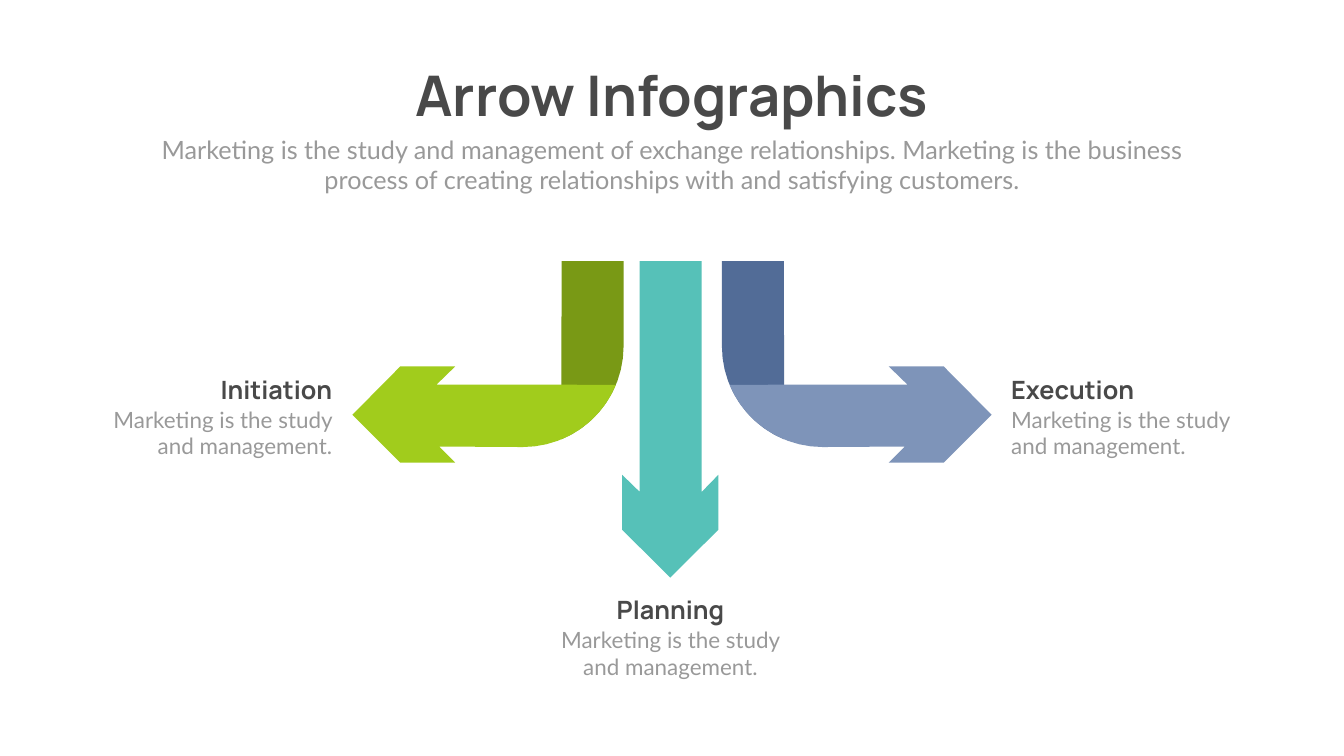
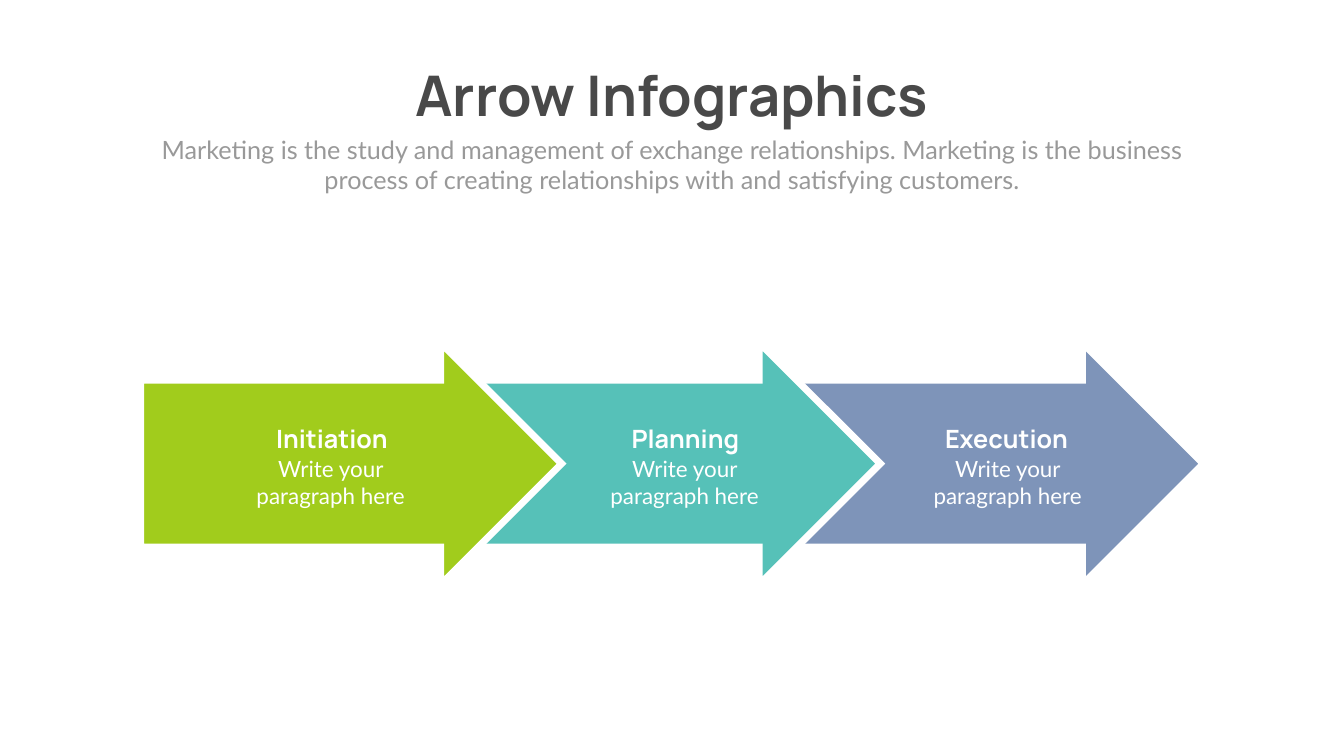
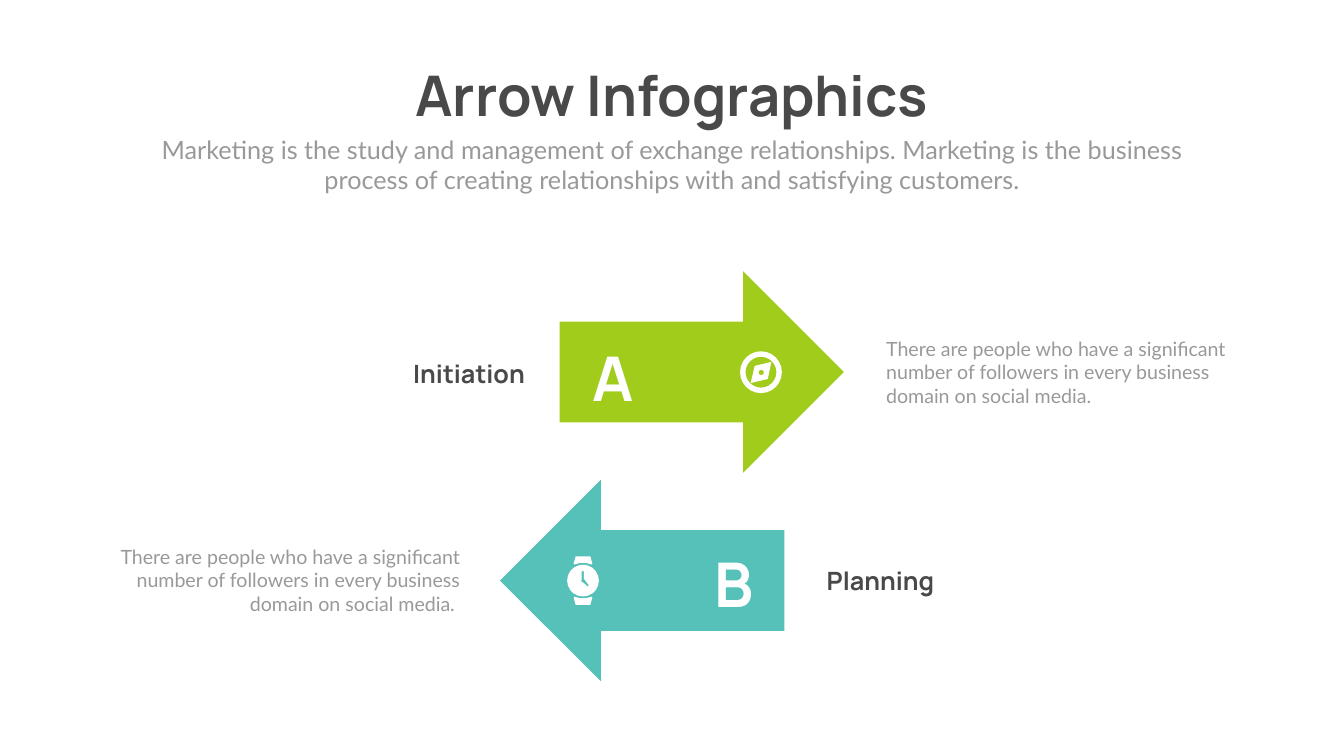
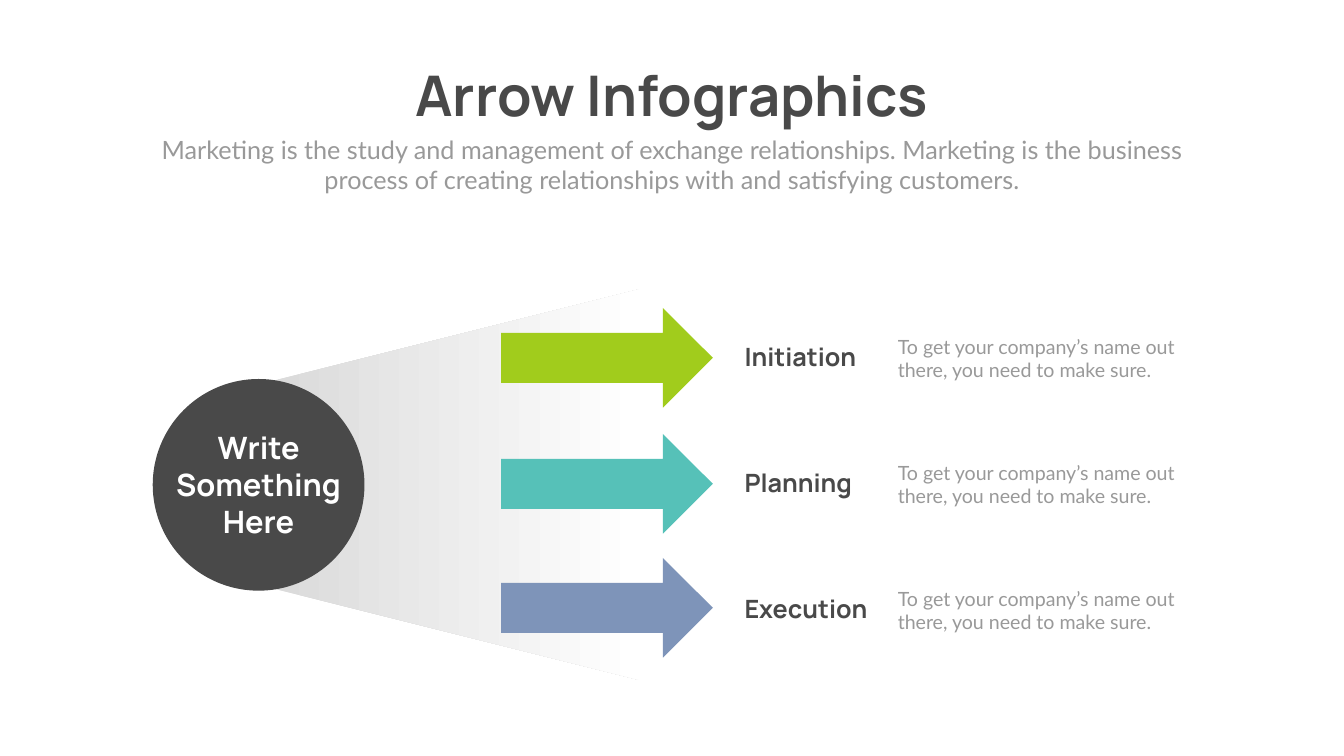
import dataclasses
import math

import lxml.etree
import pptx
import pptx.dml.color
import pptx.enum.shapes
import pptx.enum.text
import pptx.oxml.ns
import pptx.util

PX = 9144
SHAPES = pptx.enum.shapes.MSO_SHAPE
ALIGN = pptx.enum.text.PP_ALIGN
FIT = pptx.enum.text.MSO_AUTO_SIZE.SHAPE_TO_FIT_TEXT
TOP = pptx.enum.text.MSO_ANCHOR.TOP


@dataclasses.dataclass(frozen=True)
class Theme:
    ink: str = "494949"
    grey: str = "999999"
    pale: str = "D9D9D9"
    white: str = "FFFFFF"
    lime: str = "A1CC1C"
    moss: str = "799915"
    teal: str = "56C1B8"
    blue: str = "7E94B9"
    navy: str = "526C97"
    bold: str = "Manrope"
    plain: str = "Lato"
    title: int = 80
    letter: int = 88
    hub: int = 44
    head: int = 36
    body: int = 32
    note: int = 28


THEME = Theme()
STEPS = [("Initiation", THEME.lime), ("Planning", THEME.teal), ("Execution", THEME.blue)]
TITLE = "Arrow Infographics"
INTRO = ("Marketing is the study and management of exchange relationships. "
         "Marketing is the business process of creating relationships with "
         "and satisfying customers.")
STUDY = "Marketing is the study and management."
WRITE = "Write your paragraph here"
PEOPLE = ("There are people who have a significant number of followers "
          "in every business domain on social media.")
COMPANY = "To get your company’s name out there, you need to make sure."


@dataclasses.dataclass
class Box:
    x: int
    y: int
    w: int
    h: int

    def cut(self, x, y, w, h):
        return Box(self.x + x, self.y + y, w, h)

    def emu(self):
        return [n * PX for n in (self.x, self.y, self.w, self.h)]


def tint(code):
    return pptx.dml.color.RGBColor.from_string(code)


def place(shape, box):
    shape.left, shape.top, shape.width, shape.height = box.emu()


def write(shape, text, size, color, align, font=THEME.bold, wrap=True):
    frame = shape.text_frame
    frame.text = text
    frame.word_wrap = wrap
    frame.auto_size = FIT
    frame.vertical_anchor = TOP
    para = frame.paragraphs[0]
    para.alignment = align
    para.space_before = pptx.util.Pt(0)
    for run in para.runs:
        run.font.name = font
        run.font.size = pptx.util.Pt(size)
        run.font.bold = font == THEME.bold
        run.font.color.rgb = tint(color)


def label(slide, box, *style):
    write(slide.shapes.add_textbox(*box.emu()), *style)


def note(slide, box, text, size, color, align):
    label(slide, box, text, size, color, align, THEME.plain)


def paint(shape, color):
    shape.shadow.inherit = False
    shape.line.fill.background()
    shape.fill.solid()
    shape.fill.fore_color.rgb = tint(color)


def block(slide, kind, box, color, turn=0):
    shape = slide.shapes.add_shape(kind, *box.emu())
    paint(shape, color)
    shape.rotation = turn
    return shape


def edge(shape, color, width):
    shape.line.color.rgb = tint(color)
    shape.line.width = pptx.util.Pt(width)
    line = shape.element.spPr.find(pptx.oxml.ns.qn("a:ln"))
    lxml.etree.SubElement(line, pptx.oxml.ns.qn("a:miter"), lim="800000")


def draw(slide, box, color, *loops):
    loops = [[((box.x + x) * PX, (box.y + y) * PX) for x, y in loop] for loop in loops]
    pen = slide.shapes.build_freeform(*loops[0][0])
    pen.add_line_segments(loops[0][1:])
    for loop in loops[1:]:
        pen.move_to(*loop[0])
        pen.add_line_segments(loop[1:])
    paint(pen.convert_to_shape(), color)


def arc(x, y, reach, start, end, count=10):
    turns = [math.radians(start + (end - start) * i / count) for i in range(count + 1)]
    return [(x - reach * math.cos(t), y + reach * math.sin(t)) for t in turns]


def ring(x, y, reach, count):
    return arc(x, y, reach, 0, 360, count)[:-1]


def pair(slide, top, box, head, text, align, ink, grey):
    label(slide, top, head, THEME.head, ink, align)
    note(slide, box, text, THEME.body, grey, align)


def start(deck):
    slide = deck.slides.add_slide(deck.slide_layouts[0])
    title, intro = slide.placeholders
    place(title, Box(769, 115, 1128, 145))
    write(title, TITLE, THEME.title, THEME.ink, ALIGN.CENTER, THEME.bold, False)
    place(intro, Box(292, 261, 2082, 131))
    write(intro, INTRO, THEME.head, THEME.grey, ALIGN.CENTER, THEME.plain)
    return slide


def bend(slide, box, dark, light, left):
    w = box.w
    strip = [(0, 0), *arc(200, 169, 200, 0, 67.5), (123, 0)]
    band = [*arc(200, 169, 200, 22.5, 90), (w - 172, 368), (w - 204, 400),
            (w - 95, 400), (w, 305), (w - 95, 209), (w - 204, 209), (w - 167, 245)]
    for loop, color in ((strip, dark), (band, light)):
        draw(slide, box, color, [(w - x if left else x, y) for x, y in loop])


def drop(slide, box, color):
    w, h = box.w, box.h
    draw(slide, box, color, [
        (35, 0), (w - 33, 0), (w - 33, h - 170), (w, h - 204), (w, h - 95),
        (w / 2, h), (0, h - 95), (0, h - 204), (35, h - 170)])


def split(slide, box):
    bend(slide, box.cut(0, 0, 538, 400), THEME.moss, THEME.lime, True)
    drop(slide, box.cut(535, 0, 191, 628), THEME.teal)
    bend(slide, box.cut(733, 0, 535, 400), THEME.navy, THEME.blue, False)
    spots = [(-498, 219, ALIGN.RIGHT), (397, 656, ALIGN.CENTER), (1297, 219, ALIGN.LEFT)]
    for (name, _), (x, y, align) in zip(STEPS, spots):
        pair(slide, box.cut(x, y, 468, 71), box.cut(x, y + 63, 468, 118),
             name, STUDY, align, THEME.ink, THEME.grey)


def chain(slide, box):
    spans = [(0, 835), (528, 939), (1169, 939)]
    for (_, color), (x, w) in reversed(list(zip(STEPS, spans))):
        arrow = block(slide, SHAPES.RIGHT_ARROW, box.cut(x, 0, w, box.h), color)
        arrow.adjustments[0] = 0.69
        arrow.adjustments[1] = 0.5
        edge(arrow, THEME.white, 10)
    spots = [(246, 267, 187), (947, 267, 889), (1580, 275, 1530)]
    for (name, _), (x, w, left) in zip(STEPS, spots):
        pair(slide, box.cut(x, 155, w, 71), box.cut(left, 218, 380, 118),
             name, WRITE, ALIGN.CENTER, THEME.white, THEME.white)


def compass(slide, box):
    rim = block(slide, SHAPES.DONUT, box, THEME.white)
    rim.adjustments[0] = 0.13
    draw(slide, box, THEME.white,
         [(21, 63), (55, 55), (62, 21), (29, 29)], ring(42, 42, 5.5, 8))


def watch(slide, box):
    hand = [(29, 29), (33, 29), (33, 44), (43, 57), (41, 60),
            (32, 52), (28, 50), (29, 44)]
    strap = [(14, 16), (13, 14), (17, 0), (46, 0), (50, 14),
             (49, 16), (37, 13), (26, 13)]
    draw(slide, box, THEME.white, ring(31.5, 48, 31.5, 20), hand)
    draw(slide, box, THEME.white, strap)
    draw(slide, box, THEME.white, [(x, box.h - y) for x, y in strap])


def duel(slide, box):
    block(slide, SHAPES.DOWN_ARROW, box.cut(74, 414, 400, 564), THEME.teal, 90)
    block(slide, SHAPES.DOWN_ARROW, box.cut(192, 0, 400, 564), THEME.lime, 270)
    for text, x, y in (("A", 106, 213), ("B", 345, 622)):
        label(slide, box.cut(x, y, 222, 158), text, THEME.letter, THEME.white, ALIGN.CENTER)
    notes = [(748, 207, PEOPLE, ALIGN.LEFT), (-778, 620, PEOPLE + " ", ALIGN.RIGHT)]
    for x, y, text, align in notes:
        note(slide, box.cut(x, y, 700, 151), text, THEME.note, THEME.grey, align)
    compass(slide, box.cut(468, 241, 83, 83))
    watch(slide, box.cut(125, 648, 63, 96))
    heads = [(-273, 250, ALIGN.RIGHT), (630, 660, ALIGN.LEFT)]
    for (name, _), (x, y, align) in zip(STEPS, heads):
        label(slide, box.cut(x, y, 324, 71), name, THEME.head, THEME.ink, align)


def beam(slide, box):
    shape = block(slide, SHAPES.TRAPEZOID, box, THEME.pale, 270)
    shape.fill.gradient()
    shape.fill.gradient_angle = 270
    for stop, color, point in zip(shape.fill.gradient_stops, (THEME.pale, THEME.white), (0, 1)):
        stop.color.rgb = tint(color)
        stop.position = point


def fan(slide, box):
    beam(slide, box.cut(200, 0, 776, 757))
    block(slide, SHAPES.OVAL, box.cut(0, 169, 420, 420), THEME.ink)
    for i, (name, _) in enumerate(STEPS):
        y = 90 + 250 * i
        label(slide, box.cut(1164, y, 304, 71), name, THEME.head, THEME.ink, ALIGN.LEFT)
        note(slide, box.cut(1468, y - 14, 592, 104), COMPANY, THEME.note,
             THEME.grey, ALIGN.LEFT)
    for (_, color), y in zip(STEPS, (28, 278, 524)):
        block(slide, SHAPES.RIGHT_ARROW, box.cut(691, y, 420, 198), color)
    label(slide, box.cut(0, 263, 420, 232), "Write Something Here", THEME.hub,
          THEME.white, ALIGN.CENTER)


def main():
    deck = pptx.Presentation()
    deck.slide_width, deck.slide_height = 2666 * PX, 1500 * PX
    split(start(deck), Box(699, 518, 1268, 628))
    chain(start(deck), Box(279, 680, 2108, 480))
    duel(start(deck), Box(1000, 456, 666, 978))
    fan(start(deck), Box(303, 583, 2060, 757))
    deck.save("out.pptx")


if __name__ == "__main__":
    main()
